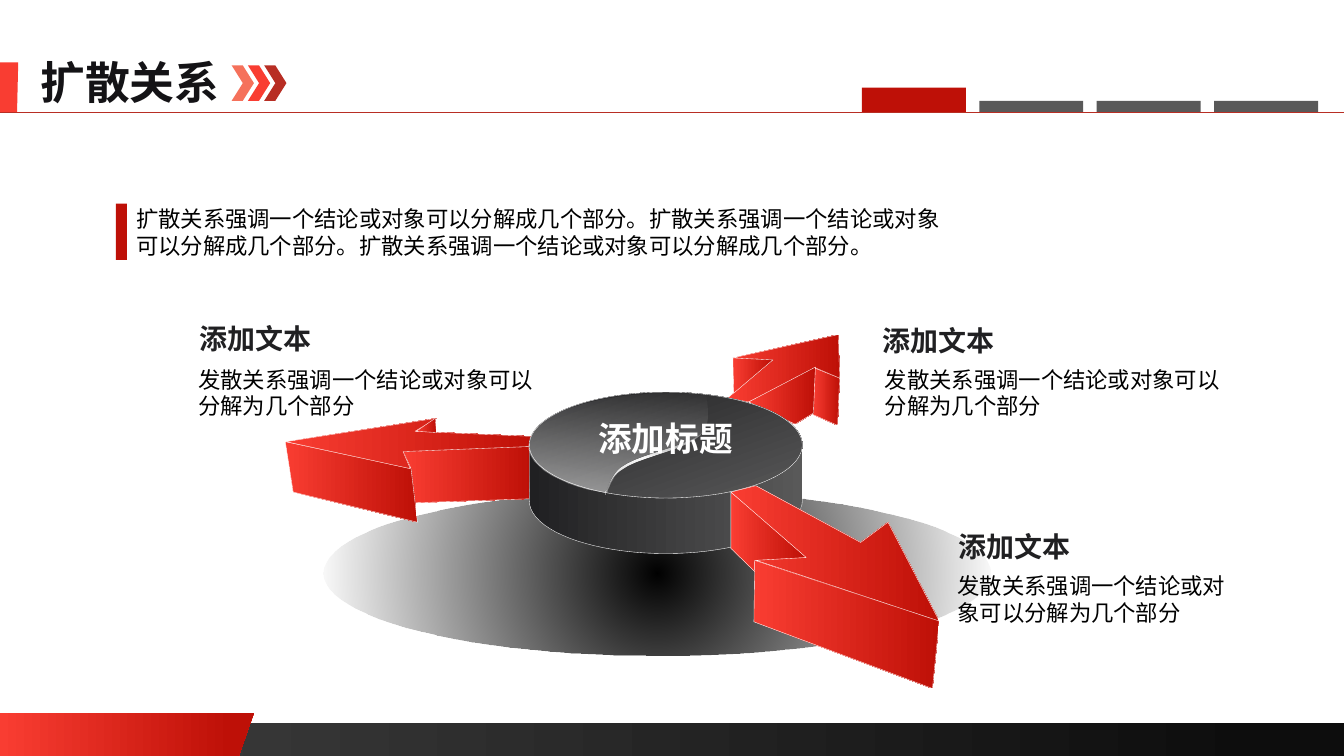
from lxml import etree
from math import cos, pi, sin

from pptx import Presentation
from pptx.dml.color import RGBColor
from pptx.enum.shapes import MSO_CONNECTOR, MSO_SHAPE
from pptx.enum.text import MSO_ANCHOR, PP_ALIGN
from pptx.oxml.ns import qn
from pptx.util import Cm, Pt

RECTANGLE = MSO_SHAPE.RECTANGLE
ELLIPSE = MSO_SHAPE.OVAL
CHEVRON = MSO_SHAPE.CHEVRON
STRAIGHT = MSO_CONNECTOR.STRAIGHT
LEFT = PP_ALIGN.LEFT
TOP = MSO_ANCHOR.TOP

FONT = "Noto Sans CJK SC"
WIDTH, HEIGHT = 33.87, 19.05
DARK_RED, RED, LINE_RED, SALMON = "BE1007", "F93D32", "B82E24", "F5715B"
GREY, CHARCOAL, BLACK, WHITE = "595959", "202022", "000000", "FFFFFF"
RED_STOPS = [(0, RED, 100), (100, DARK_RED, 100)]
DRUM_STOPS = [(0, CHARCOAL, 100), (100, GREY, 100)]

ARROW_FACES_BEHIND = [
    [(10.16, 11.38), (13.39, 11.25), (13.34, 12.57), (10.46, 12.67), (10.36, 11.81)],
    [(7.19, 11.13), (7.39, 12.4), (10.52, 13.16), (10.36, 11.81)],
    [(7.21, 11.13), (11, 10.54), (10.46, 10.87), (13.49, 11), (13.41, 11.25),
     (10.16, 11.38), (10.34, 11.81)],
    [(10.97, 10.54), (11, 10.9), (10.49, 10.87)],
    [(18.47, 9.02), (21.13, 8.43), (21.16, 9.53), (20.55, 9.27), (18.87, 10.13),
     (18.34, 10.03), (19.46, 9.07)],
    [(18.47, 9.02), (18.49, 9.91), (19.48, 9.07)],
    [(20.52, 9.27), (20.47, 10.44), (21.11, 10.72), (21.16, 9.53)],
    [(20.55, 9.25), (18.87, 10.13), (20.04, 10.69), (20.5, 10.41)],
]
ARROW_FACES_FRONT = [
    [(18.42, 12.4), (18.42, 13.82), (20.22, 15.57), (20.32, 14.02)],
    [(19.02, 14.12), (19, 15.67), (23.5, 17.35), (23.67, 15.65)],
    [(18.42, 12.4), (20.32, 14.05), (19.05, 14.12), (23.67, 15.65), (22.38, 13.16),
     (21.69, 13.67), (19.05, 12.24)],
]
GLOSS = [
    (16.76, 9.91), (17.45, 9.93), (17.78, 9.96), (17.81, 10.16),
    (17.86, 10.41, 17.83, 10.67, 17.73, 10.85),
    (17.48, 11.3, 16.15, 11.46, 15.67, 11.81),
    (15.47, 11.96, 15.37, 12.17, 15.29, 12.4), (15.27, 12.42), (14.83, 12.34),
    (13.92, 12.09, 13.31, 11.68, 13.31, 11.23),
    (13.31, 10.49, 14.86, 9.91, 16.76, 9.91),
]
GLOSS_EDGE = [
    (17.75, 10.8), (17.75, 10.85), (17.48, 11.33, 16.15, 11.48, 15.67, 11.84),
    (15.47, 11.96, 15.37, 12.19, 15.29, 12.4), (15.29, 12.45), (15.27, 12.45),
    (15.27, 12.34), (15.29, 12.34), (15.32, 12.32),
    (15.39, 12.12, 15.49, 11.89, 15.67, 11.76),
    (16.13, 11.43, 17.2, 11.28, 17.63, 10.95),
]
BRANCHES = [
    (4.78, 7.98, 4.75, 9.09, 9.07, ["发散关系强调一个结论或对象可以", "分解为几个部分"]),
    (22, 8.03, 22.05, 9.09, 9.07, ["发散关系强调一个结论或对象可以", "分解为几个部分"]),
    (23.9, 13.21, 23.88, 14.3, 7.34, ["发散关系强调一个结论或对", "象可以分解为几个部分"]),
]
INTRO = ["扩散关系强调一个结论或对象可以分解成几个部分。扩散关系强调一个结论或对象",
         "可以分解成几个部分。扩散关系强调一个结论或对象可以分解成几个部分。"]


def rgb(value):
    """Turn a hex string into a colour."""
    return RGBColor.from_string(value)


def set_gradient(shape, stops, angle=0, radial=False):
    """Fill a shape with stops of position, colour and opacity in percent."""
    shape.fill.background()
    gradient = etree.Element(qn("a:gradFill"), rotWithShape="1")
    stop_list = etree.SubElement(gradient, qn("a:gsLst"))
    for position, color, opacity in stops:
        stop = etree.SubElement(stop_list, qn("a:gs"), pos=str(position * 1000))
        node = etree.SubElement(stop, qn("a:srgbClr"), val=color)
        if opacity < 100:
            etree.SubElement(node, qn("a:alpha"), val=str(opacity * 1000))
    if radial:
        circle = etree.SubElement(gradient, qn("a:path"), path="circle")
        etree.SubElement(circle, qn("a:fillToRect"), l="50000", t="50000", r="50000", b="50000")
    else:
        etree.SubElement(gradient, qn("a:lin"), ang=str(angle * 60000), scaled="0")
    properties = shape._element.spPr
    properties.replace(properties.find(qn("a:noFill")), gradient)


def paint(shape, fill, angle=0, outlined=False, radial=False):
    """Apply a plain or gradient fill and an optional thin white outline."""
    shape.shadow.inherit = False
    if isinstance(fill, str):
        shape.fill.solid()
        shape.fill.fore_color.rgb = rgb(fill)
    else:
        set_gradient(shape, fill, angle, radial)
    if outlined:
        shape.line.color.rgb = rgb(WHITE)
        shape.line.width = Pt(0.25)
    else:
        shape.line.fill.background()


def add_preset(slide, kind, left, top, width, height, fill, **style):
    """Add a painted preset shape."""
    shape = slide.shapes.add_shape(kind, Cm(left), Cm(top), Cm(width), Cm(height))
    paint(shape, fill, **style)


def flatten(outline, steps=10):
    """Replace each cubic curve of an outline by short straight steps."""
    points = []
    for entry in outline:
        if len(entry) == 2:
            points.append(entry)
            continue
        controls = [points[-1], entry[0:2], entry[2:4], entry[4:6]]
        for step in range(1, steps + 1):
            t = step / steps
            weights = [(1 - t) ** 3, 3 * t * (1 - t) ** 2, 3 * t ** 2 * (1 - t), t ** 3]
            points.append(tuple(
                sum(weight * control[axis] for weight, control in zip(weights, controls))
                for axis in (0, 1)))
    return points


def add_outline(slide, outline, fill, **style):
    """Add a painted closed freeform."""
    points = [(Cm(x), Cm(y)) for x, y in flatten(outline)]
    builder = slide.shapes.build_freeform(*points[0])
    builder.add_line_segments(points[1:], close=True)
    paint(builder.convert_to_shape(), fill, **style)


def write_text(shape, lines, size, color, bold=False):
    """Write unwrapped left-aligned lines into a shape."""
    frame = shape.text_frame
    frame.text = "\n".join(lines)
    frame.word_wrap = False
    frame.vertical_anchor = TOP
    for paragraph in frame.paragraphs:
        paragraph.alignment = LEFT
        paragraph.line_spacing = Pt(size * 1.2)
        for run in paragraph.runs:
            run.font.size = Pt(size)
            run.font.bold = bold
            run.font.color.rgb = rgb(color)
            run.font.name = FONT
            etree.SubElement(run._r.get_or_add_rPr(), qn("a:ea"), typeface=FONT)


def add_text(slide, left, top, width, height, lines, size, color, bold=False):
    """Add a text box."""
    box = slide.shapes.add_textbox(Cm(left), Cm(top), Cm(width), Cm(height))
    write_text(box, lines, size, color, bold)


def add_rule(slide, y, color):
    """Add a thin line across the slide."""
    rule = slide.shapes.add_connector(STRAIGHT, 0, Cm(y), Cm(WIDTH), Cm(y))
    rule.line.color.rgb = rgb(color)
    rule.line.width = Pt(0.5)
    etree.SubElement(rule._element.spPr, qn("a:effectLst"))


def add_frame(slide):
    """Add the title, header marks and footer."""
    add_preset(slide, RECTANGLE, 0, 18.21, WIDTH, 0.84,
               [(0, "404040", 100), (94, "0D0D0D", 100)])
    add_outline(slide, [(0, 17.96), (6.4, 17.96), (6.02, HEIGHT), (0, HEIGHT)],
                [(0, RED, 100), (91, DARK_RED, 100)])
    add_outline(slide, [(0, 1.57), (0.46, 1.57), (0.43, 2.84), (0, 2.84)], RED)
    title = slide.shapes.title
    title.left, title.top, title.width, title.height = Cm(0.76), Cm(1.24), Cm(5.08), Cm(1.63)
    write_text(title, ["扩散关系"], 32, "141316", bold=True)
    add_rule(slide, 2.82, LINE_RED)
    for index, color in enumerate([SALMON, RED, LINE_RED]):
        add_preset(slide, CHEVRON, 5.84 + 0.41 * index, 1.65, 0.56, 0.89, color)
    add_preset(slide, RECTANGLE, 21.72, 2.21, 2.62, 0.61, DARK_RED)
    for index in range(1, 4):
        add_preset(slide, RECTANGLE, 21.72 + 2.96 * index, 2.54, 2.62, 0.28, GREY)


def add_drum(slide):
    """Add the round drum with its glossy top."""
    angles = [pi * step / 40 for step in range(41)]
    upper = [(16.78 + 3.44 * cos(angle), 11.22 + 1.33 * sin(angle)) for angle in angles]
    lower = [(x, y + 1.4) for x, y in reversed(upper)]
    add_outline(slide, upper + lower, DRUM_STOPS, outlined=True)
    add_preset(slide, ELLIPSE, 13.34, 9.88, 6.88, 2.67, DRUM_STOPS, angle=70, outlined=True)
    add_outline(slide, GLOSS, [(0, "F7F7F7", 0), (100, WHITE, 49)], angle=100)
    add_outline(slide, GLOSS_EDGE,
                [(0, "F7F7F7", 0), (48, "FBFBFB", 100), (100, WHITE, 49)], angle=100)
    add_text(slide, 14.83, 10.41, 3.94, 1.27, ["添加标题"], 24, WHITE, bold=True)


def main():
    """Build the slide and save it."""
    presentation = Presentation()
    presentation.slide_width, presentation.slide_height = Cm(WIDTH), Cm(HEIGHT)
    slide = presentation.slides.add_slide(presentation.slide_layouts[5])
    add_frame(slide)
    add_preset(slide, ELLIPSE, 8.15, 12.37, 16.81, 4.14,
               [(0, BLACK, 100), (100, BLACK, 0)], radial=True)
    for face in ARROW_FACES_BEHIND:
        add_outline(slide, face, RED_STOPS, outlined=True)
    add_drum(slide)
    for face in ARROW_FACES_FRONT:
        add_outline(slide, face, RED_STOPS, outlined=True)
    add_preset(slide, RECTANGLE, 2.92, 5.13, 0.28, 1.42, DARK_RED)
    add_text(slide, 3.18, 5.05, 21.03, 1.63, INTRO, 16, BLACK)
    for label_left, label_top, left, top, width, lines in BRANCHES:
        add_text(slide, label_left, label_top, 3.35, 1.12, ["添加文本"], 20, CHARCOAL, bold=True)
        add_text(slide, left, top, width, 1.63, lines, 16, BLACK)
    presentation.save("out.pptx")


if __name__ == "__main__":
    main()
